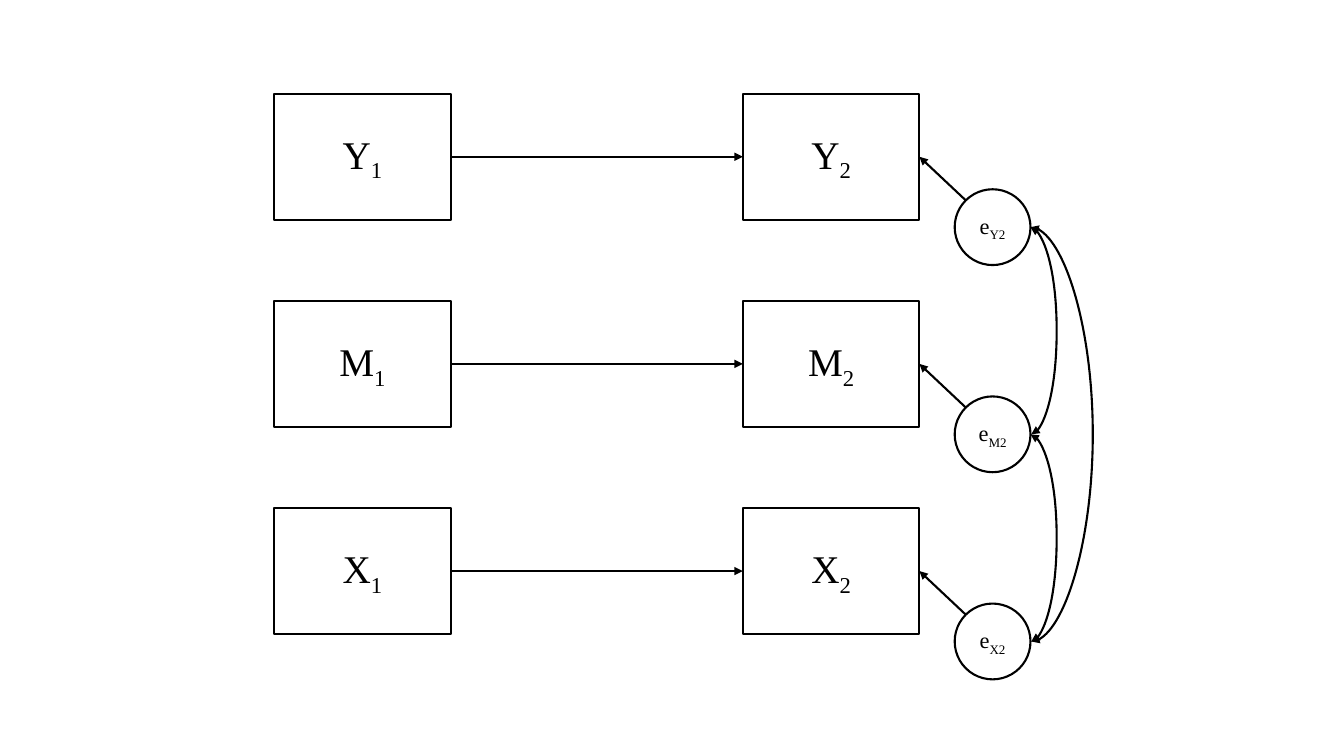
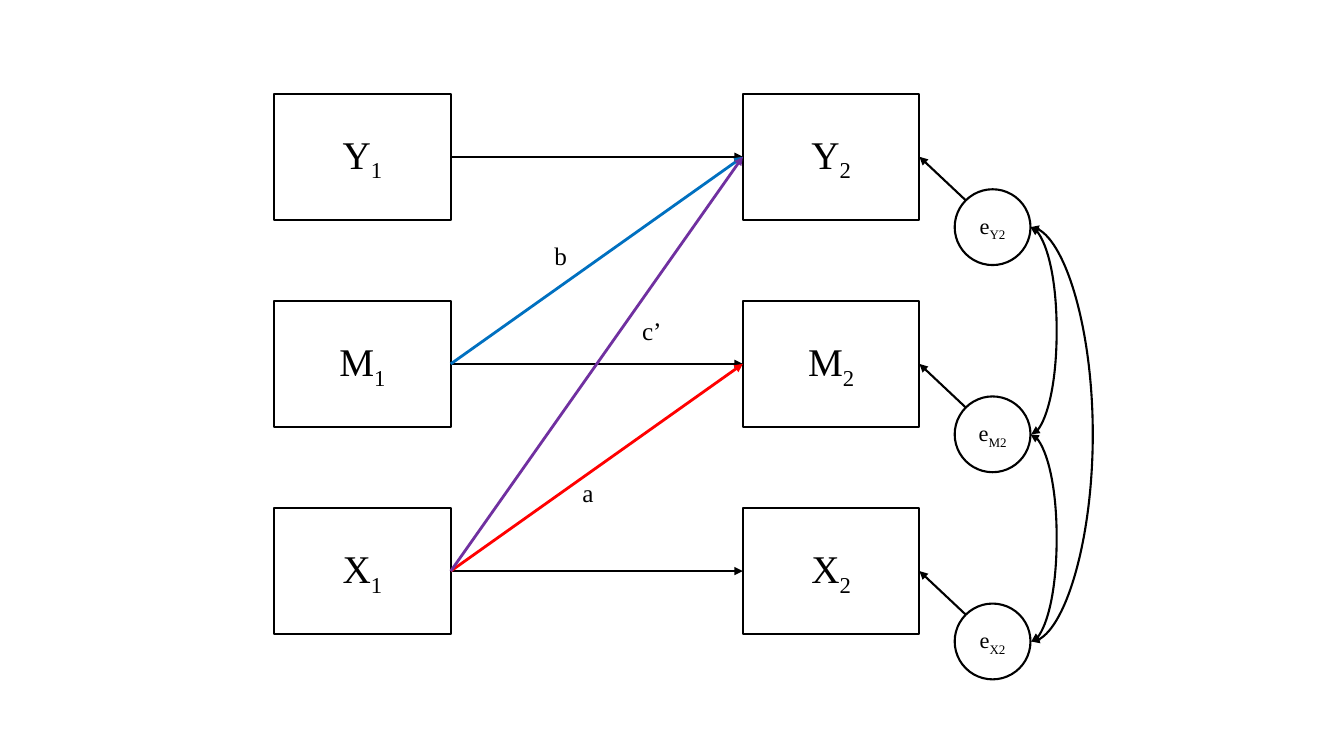
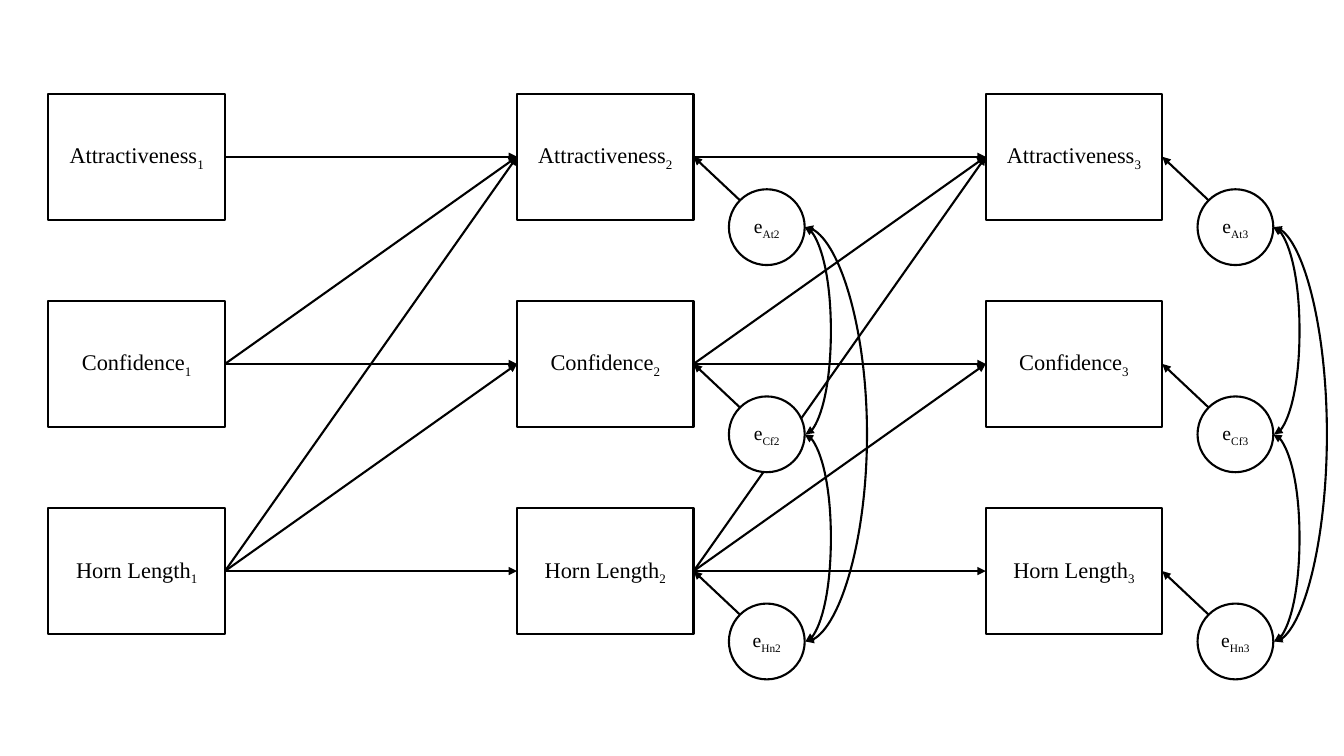
from pptx import Presentation
from pptx.dml.color import RGBColor
from pptx.enum.shapes import MSO_CONNECTOR, MSO_SHAPE
from pptx.enum.text import MSO_ANCHOR, MSO_AUTO_SIZE, PP_ALIGN
from pptx.oxml import parse_xml
from pptx.oxml.ns import nsdecls, qn
from pptx.util import Cm, Pt

COLOURS = {"ink": "000000", "paper": "FFFFFF",
           "a": "FF0000", "b": "0070C0", "c": "7030A0"}
FONT = "Times New Roman"

# Grid of variables (cm): one row per variable, one column per wave
TOP, ROW_STEP, COL_STEP = 2.36, 5.22, 11.81
BOX_W, BOX_H = 4.45, 3.18
ERROR_DX, ERROR_DY, ERROR_SIZE = 5.34, 2.41, 1.91
INNER_BULGE, OUTER_BULGE = 0.66, 1.57
CURVE_LEAN = 0.02

# Connection sites of a rectangle
LEFT, RIGHT = 1, 3


def rgb(name):
    """Return a named colour."""
    return RGBColor.from_string(COLOURS[name])


def add_run(p, text, size, subscript=False):
    """Add one run in the shared font."""
    r = p.add_run()
    r.text = text
    r.font.name = FONT
    r.font.size = Pt(size)
    r.font.color.rgb = rgb("ink")
    if subscript:
        r._r.get_or_add_rPr().set("baseline", "-25000")


def add_node(s, kind, x, y, w, h, label, index, size):
    """Add an outlined shape with a subscripted label."""
    sp = s.shapes.add_shape(kind, Cm(x), Cm(y), Cm(w), Cm(h))
    sp.shadow.inherit = False
    sp.fill.solid()
    sp.fill.fore_color.rgb = rgb("paper")
    sp.line.color.rgb = rgb("ink")
    sp.line.width = Pt(1.5)
    tf = sp.text_frame
    tf.vertical_anchor = MSO_ANCHOR.MIDDLE
    p = tf.paragraphs[0]
    p.alignment = PP_ALIGN.CENTER
    add_run(p, label, size)
    add_run(p, index, size, subscript=True)
    return sp


def add_line(s, kind, x1, y1, x2, y2, colour="ink", width=1.5, ends=("tailEnd",)):
    """Add a connector with triangular arrowheads at the given ends."""
    cxn = s.shapes.add_connector(kind, Cm(x1), Cm(y1), Cm(x2), Cm(y2))
    cxn.line.color.rgb = rgb(colour)
    cxn.line.width = Pt(width)
    ln = cxn.line._get_or_add_ln()
    for end in ends:
        ln.append(parse_xml(f'<a:{end} {nsdecls("a")} type="triangle"/>'))
    cxn._element.spPr.append(parse_xml(f'<a:effectLst {nsdecls("a")}/>'))
    return cxn


def add_path(s, source, target, colour="ink", width=1.5):
    """Join the right side of one box to the left side of another."""
    cxn = add_line(s, MSO_CONNECTOR.STRAIGHT, 0, 0, 0, 0, colour, width)
    cxn.begin_connect(source, RIGHT)
    cxn.end_connect(target, LEFT)


def add_covariance(s, x, y1, y2, bulge):
    """Add a two-headed curve that swings out to the right."""
    cxn = add_line(s, MSO_CONNECTOR.CURVE, x, y1, x + CURVE_LEAN, y2,
                   ends=("headEnd", "tailEnd"))
    geom = cxn._element.spPr.find(qn("a:prstGeom"))
    guides = geom.find(qn("a:avLst"))
    adj = round(bulge / CURVE_LEAN * 100000)
    guides.append(parse_xml(
        f'<a:gd {nsdecls("a")} name="adj1" fmla="val {adj}"/>'))


def add_wave(s, x, wave, names, size):
    """Add one column of boxes and return them from top to bottom."""
    return [add_node(s, MSO_SHAPE.RECTANGLE, x, TOP + row * ROW_STEP,
                     BOX_W, BOX_H, name, str(wave), size)
            for row, name in enumerate(names)]


def add_errors(s, x, boxes, wave, names, size, outer):
    """Add the error terms of one wave, their arrows and covariances."""
    left = x + ERROR_DX
    right = left + ERROR_SIZE
    centres = []
    for row, (box, name) in enumerate(zip(boxes, names)):
        y = TOP + ERROR_DY + row * ROW_STEP
        add_node(s, MSO_SHAPE.OVAL, left, y, ERROR_SIZE, ERROR_SIZE,
                 "e", f"{name}{wave}", size)
        inset = ERROR_SIZE * (1 - 0.5 ** 0.5) / 2
        arrow = add_line(s, MSO_CONNECTOR.STRAIGHT, left + inset, y + inset, 0, 0)
        arrow.end_connect(box, RIGHT)
        centres.append(y + ERROR_SIZE / 2)
    top, middle, bottom = centres
    add_covariance(s, right, top, middle, INNER_BULGE)
    add_covariance(s, right, middle, bottom, INNER_BULGE)
    add_covariance(s, right, top, bottom, outer)


def add_model(prs, left, names, short_names, size, error_size,
              outers=(OUTER_BULGE,), crosses=()):
    """Add a slide with a panel model; each cross is (from, to, colour, width)."""
    s = prs.slides.add_slide(prs.slide_layouts[6])
    xs = [left + i * COL_STEP for i in range(len(outers) + 1)]
    waves = [add_wave(s, x, i, names, size) for i, x in enumerate(xs, 1)]
    for before, after in zip(waves, waves[1:]):
        for source, target in zip(before, after):
            add_path(s, source, target)
        for start, end, colour, width in crosses:
            add_path(s, before[start], after[end], colour, width)
    for i, outer in enumerate(outers, 1):
        add_errors(s, xs[i], waves[i], i + 1, short_names, error_size, outer)
    return s


def add_path_label(s, text, x, y, w):
    """Name a path beside its line."""
    tf = s.shapes.add_textbox(Cm(x), Cm(y), Cm(w), Cm(1.03)).text_frame
    tf.word_wrap = True
    tf.auto_size = MSO_AUTO_SIZE.SHAPE_TO_FIT_TEXT
    add_run(tf.paragraphs[0], text, 18)


def main():
    """Build the three path diagrams."""
    prs = Presentation()
    prs.slide_width, prs.slide_height = Cm(33.87), Cm(19.05)

    letters = ("Y", "M", "X")
    add_model(prs, 6.91, letters, letters, 28, 16)

    s = add_model(prs, 6.91, letters, letters, 28, 16,
                  crosses=((2, 1, "a", 2), (1, 0, "b", 2), (2, 0, "c", 2)))
    for text, x, y, w in (("a", 14.43, 11.91, 0.76),
                          ("c’", 15.93, 7.82, 1.12),
                          ("b", 13.72, 5.92, 0.76)):
        add_path_label(s, text, x, y, w)

    add_model(prs, 1.22, ("Attractiveness", "Confidence", "Horn Length"),
              ("At", "Cf", "Hn"), 16, 14, outers=(OUTER_BULGE, 1.35),
              crosses=[(start, end, "ink", 1.5)
                       for start, end in ((2, 1), (1, 0), (2, 0))])

    prs.save("out.pptx")


main()
